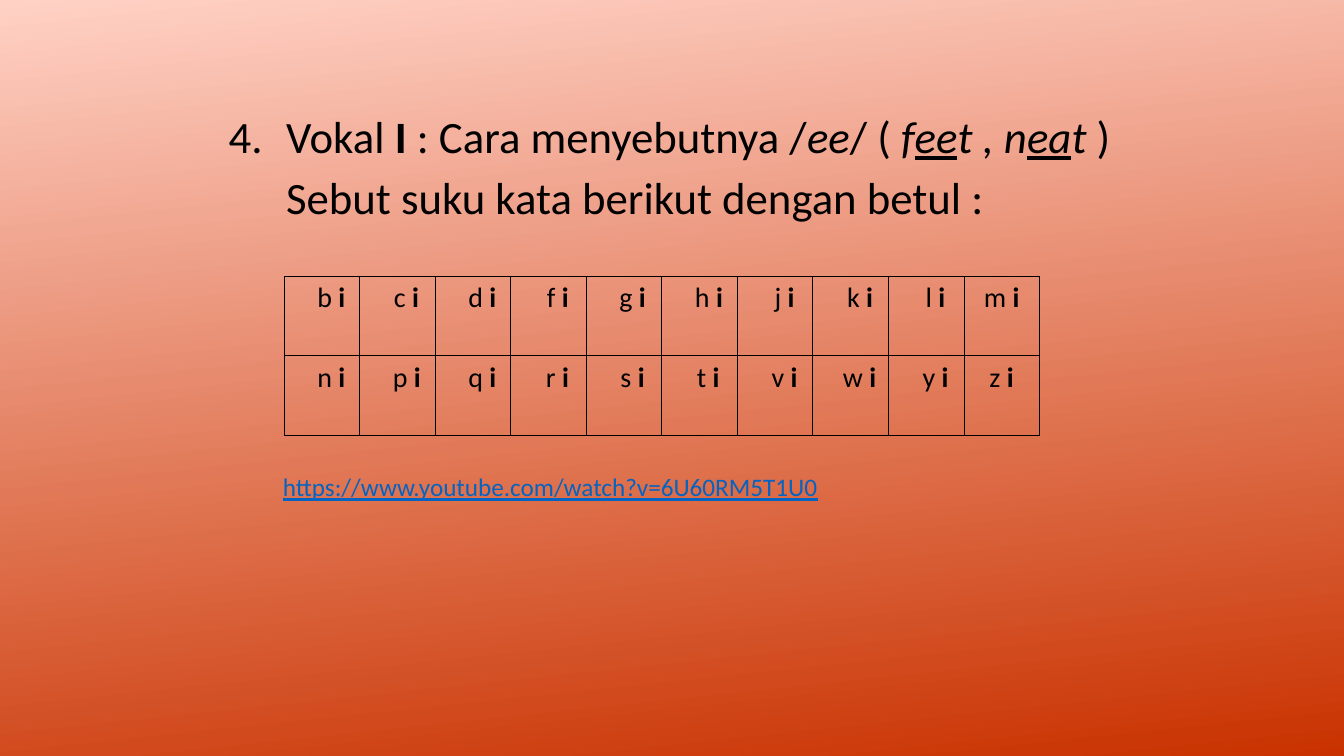
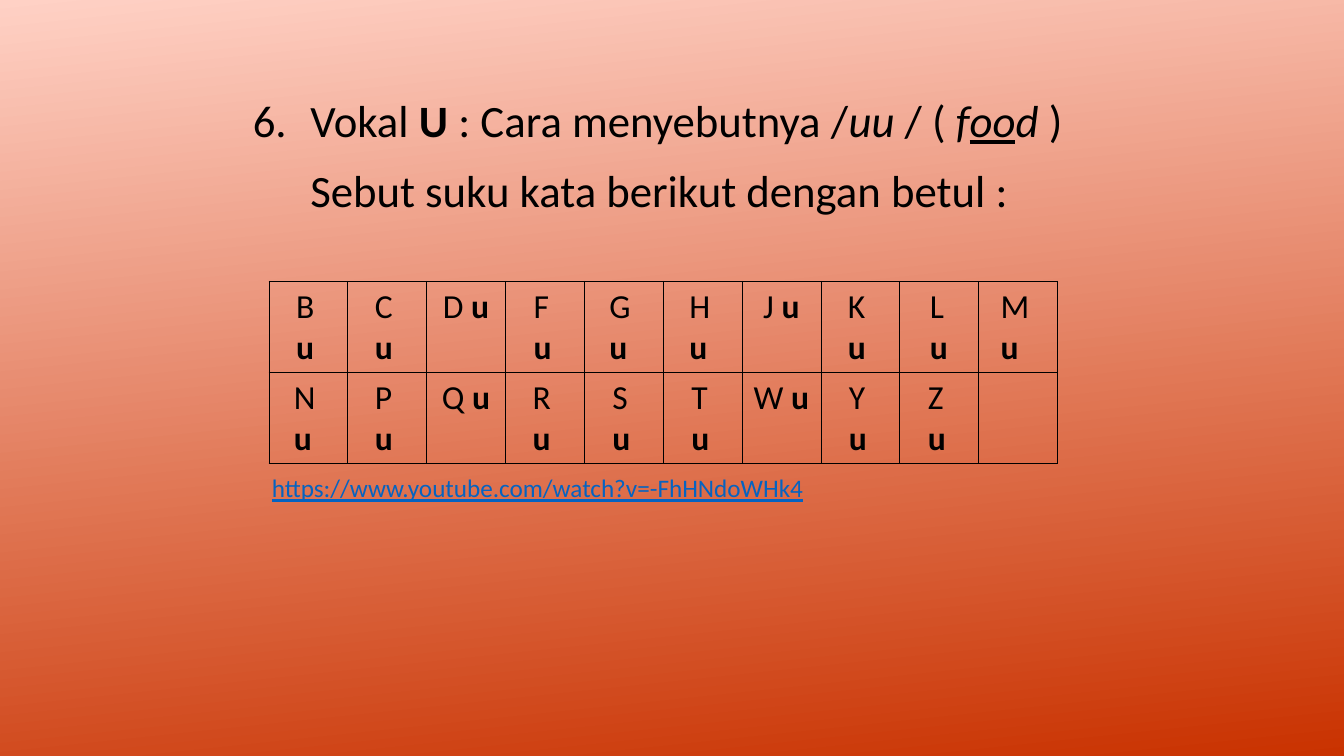
"""Two vowel drill slides with a heading, a syllable table and a web address."""
from lxml import etree
from pptx import Presentation
from pptx.dml.color import RGBColor
from pptx.enum.text import PP_ALIGN
from pptx.oxml.ns import qn
from pptx.util import Inches, Pt

LEFT, MID = PP_ALIGN.LEFT, PP_ALIGN.CENTER
FONT = "Calibri"
HUES = {"text": "000000", "link": "0563C1", "light": "FFD1C5", "dark": "C93200"}
HANG = 0.58
COUNT = 10

deck = Presentation()
deck.slide_width, deck.slide_height = Inches(13.34), Inches(7.5)
COL, ROW = deck.slide_width / 100, deck.slide_height / 100


def write(para, runs, size=32, hue="text", align=LEFT, indent=0, first=0, before=0, line=None):
    """Fill a paragraph with (text, flags) runs; flags are b, i and u."""
    props = para._p.get_or_add_pPr()
    props.set("marL", str(Inches(indent)))
    props.set("indent", str(Inches(first)))
    para.alignment = align
    if before:
        para.space_before = Pt(before)
    if line:
        para.line_spacing = line
    for text, flags in runs:
        run = para.add_run()
        run.text = text
        font = run.font
        font.name, font.size = FONT, Pt(size)
        font.color.rgb = RGBColor.from_string(HUES[hue])
        font.bold, font.italic, font.underline = ("b" in flags, "i" in flags, "u" in flags)


def frame(slide, left, top, wide, high, pads):
    """Add a wrapping text box placed in hundredths of the slide."""
    box = slide.shapes.add_textbox(int(left * COL), int(top * ROW), int(wide * COL), int(high * ROW))
    body = box.text_frame
    body.word_wrap = True
    body.margin_left, body.margin_top, body.margin_right, body.margin_bottom = map(Inches, pads)
    return body


back = deck.slide_master.background.fill
back.gradient()
back.gradient_angle = 360 - 84
for stop, hue, place in zip(back.gradient_stops, ("light", "dark"), (0, 1)):
    stop.color.rgb = RGBColor.from_string(HUES[hue])
    stop.position = place

PAGES = [
    {
        "head": (16.94, 14.27, 70, 15.5),
        "title": [("4.\tVokal ", ""), ("I ", "b"), (": Cara menyebutnya /", ""), ("ee", "i"),
                  ("/ ( ", ""), ("f", "i"), ("ee", "iu"), ("t , n", "i"), ("ea", "iu"),
                  ("t ", "i"), (")", "")],
        "gap": 5,
        "grid": (21.14, 36.53, 56.22, 10.53),
        "size": 20,
        "vowel": "i",
        "rows": ["bcdfghjklm", "npqrstvwyz"],
        "shifts": [[0.23, 0.24, 0.23, 0.26, 0.23, 0.23, 0.27, 0.24, 0.27, 0],
                   [0.23, 0.23, 0.23, 0.25, 0.24, 0.25, 0.24, 0.2, 0.24, 0]],
        "foot": (20.31, 61.47, 46, 5.6),
        "link": "https://www.youtube.com/watch?v=6U60RM5T1U0",
    },
    {
        "head": (18.74, 12.13, 70.5, 17),
        "title": [("6.\tVokal ", ""), ("U", "b"), (" : Cara menyebutnya /", ""), ("uu", "i"),
                  (" / ( ", ""), ("f", "i"), ("oo", "iu"), ("d ", "i"), (")", "")],
        "gap": 11.5,
        "grid": (20, 37.2, 58.7, 12.07),
        "size": 24,
        "vowel": "u",
        "rows": ["BCDFGHJKLM", "NPQRSTWYZ"],
        "shifts": [[0.17, 0.17, 0, 0.18, 0.15, 0.16, 0, 0.17, 0.2, 0.12],
                   [0.15, 0.17, 0, 0.17, 0.18, 0.18, 0, 0.18, 0.18]],
        "foot": (19.49, 61.6, 46, 5.6),
        "link": "https://www.youtube.com/watch?v=-FhHNdoWHk4",
    },
]

for page in PAGES:
    slide = deck.slides.add_slide(deck.slide_layouts[6])

    head = frame(slide, *page["head"], (0, 0.01, 0, 0))
    write(head.paragraphs[0], page["title"], indent=HANG, first=0.01 - HANG)
    write(head.add_paragraph(), [("Sebut suku kata berikut dengan betul :", "")],
          indent=HANG, before=page["gap"])

    left, top, wide, high = page["grid"]
    lines = len(page["rows"])
    table = slide.shapes.add_table(lines, COUNT, int(left * COL), int(top * ROW),
                                   int(wide * COL), int(lines * high * ROW)).table
    table.first_row = table.horz_banding = False
    for cell in table.iter_cells():
        cell.fill.background()
        props = cell._tc.get_or_add_tcPr()
        for spot, side in enumerate(("lnL", "lnR", "lnT", "lnB")):
            edge = etree.Element(qn("a:" + side), w=str(Pt(0.45)))
            fill = etree.SubElement(edge, qn("a:solidFill"))
            etree.SubElement(fill, qn("a:srgbClr"), val=HUES["text"])
            props.insert(spot, edge)
    for row, (tones, shifts) in enumerate(zip(page["rows"], page["shifts"])):
        for col, (tone, shift) in enumerate(zip(tones, shifts)):
            write(table.cell(row, col).text_frame.paragraphs[0],
                  [(tone + " ", ""), (page["vowel"], "b")], size=page["size"],
                  align=LEFT if shift else MID, indent=shift)

    foot = frame(slide, *page["foot"], (0.1, 0.05, 0.1, 0.05))
    write(foot.paragraphs[0], [(page["link"], "u")], size=18, hue="link", line=1.07)

deck.save("out.pptx")
